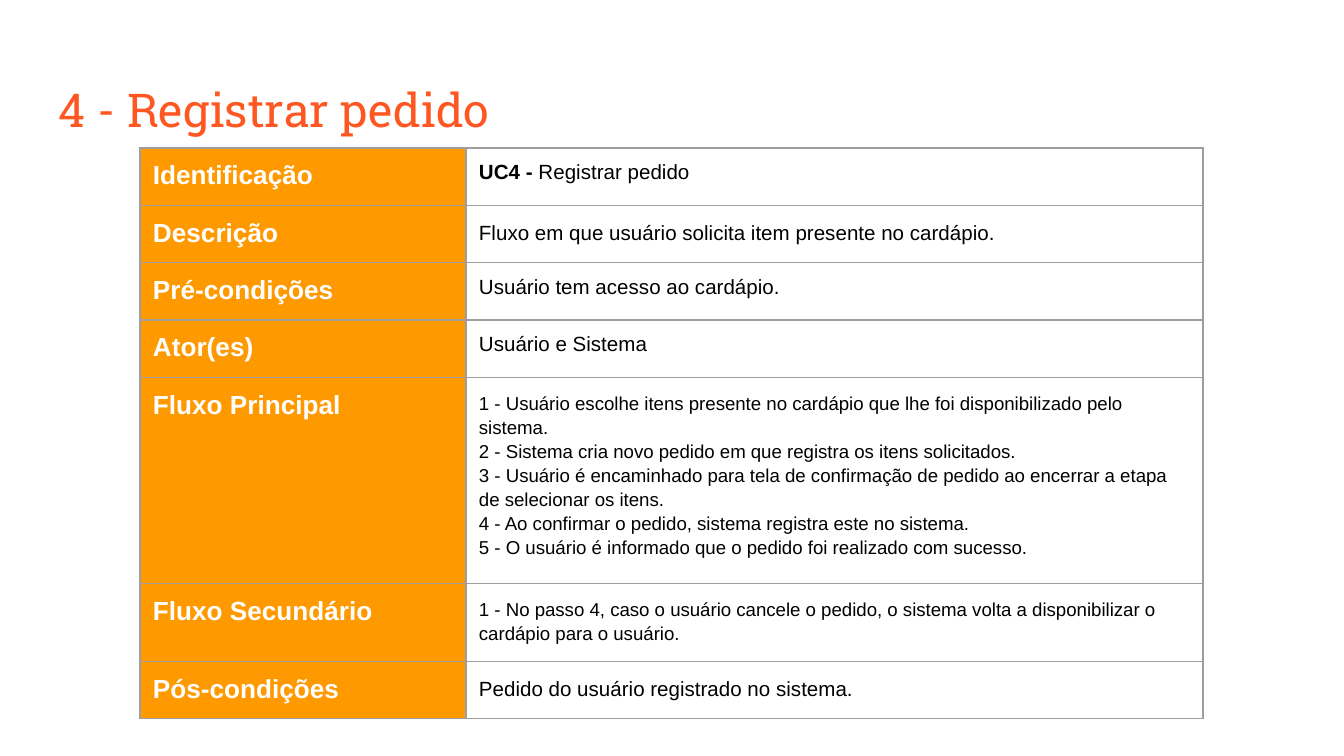
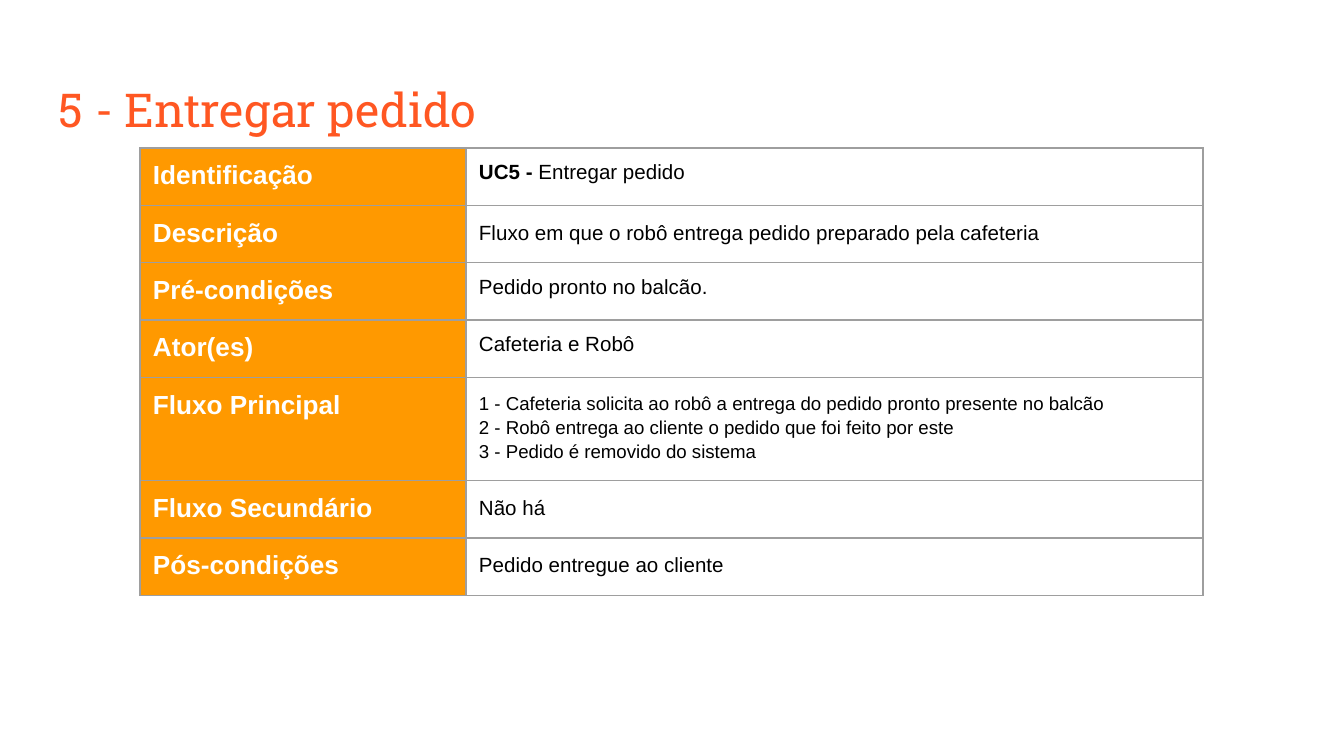
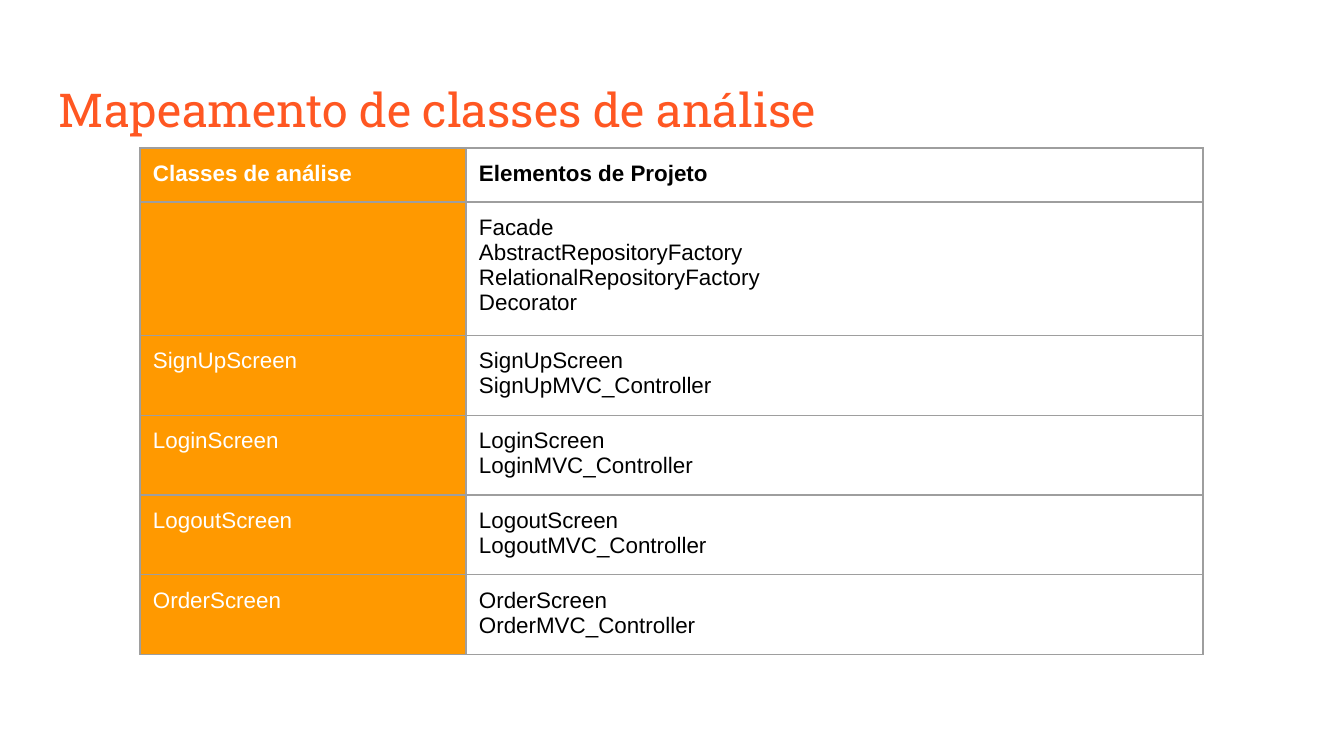
from lxml import etree
from pptx import Presentation
from pptx.dml.color import RGBColor
from pptx.enum.text import MSO_ANCHOR
from pptx.oxml.ns import qn
from pptx.util import Pt

MIDDLE = MSO_ANCHOR.MIDDLE
TOP = MSO_ANCHOR.TOP
EMU_PER_PX = 9144000 / 1344
SLIDE_SIZE = (1344, 756)
TITLE_BOX = (46, 66, 1253, 85)
TABLE_ORIGIN = (140, 148)
COLUMN_WIDTHS = (326, 737)
INSET = 13
BLANK_LAYOUT = 6

TITLE_FONT = "Roboto Slab"
BODY_FONT = "Arial"
TITLE_COLOR = "FF5722"
LABEL_FILL = "FF9900"
LABEL_COLOR = "FFFFFF"
VALUE_COLOR = "000000"
BORDER_COLOR = "9E9E9E"
BORDER_WIDTH = Pt(0.75)

FIELDS = (
    ("Identificação", 1),
    ("Descrição", 1.15),
    ("Pré-condições", 1),
    ("Ator(es)", 1),
    ("Fluxo Principal", 1.15),
    ("Fluxo Secundário", 1.15),
    ("Pós-condições", 1.15),
)

USE_CASES = (
    (4, "Registrar pedido", (
        ["Fluxo em que usuário solicita item presente no cardápio."],
        ["Usuário tem acesso ao cardápio."],
        ["Usuário e Sistema"],
        [
            "1 - Usuário escolhe itens presente no cardápio que lhe foi disponibilizado pelo sistema.",
            "2 - Sistema cria novo pedido em que registra os itens solicitados.",
            "3 - Usuário é encaminhado para tela de confirmação de pedido ao encerrar a etapa de selecionar os itens.",
            "4 - Ao confirmar o pedido, sistema registra este no sistema.",
            "5 - O usuário é informado que o pedido foi realizado com sucesso.",
        ],
        ["1 - No passo 4, caso o usuário cancele o pedido, o sistema volta a disponibilizar o cardápio para o usuário."],
        ["Pedido do usuário registrado no sistema."],
    )),
    (5, "Entregar pedido", (
        ["Fluxo em que o robô entrega pedido preparado pela cafeteria"],
        ["Pedido pronto no balcão."],
        ["Cafeteria e Robô"],
        [
            "1 - Cafeteria solicita ao robô a entrega do pedido pronto presente no balcão",
            "2 - Robô entrega ao cliente o pedido que foi feito por este",
            "3 - Pedido é removido do sistema",
        ],
        ["Não há"],
        ["Pedido entregue ao cliente"],
    )),
)

SHARED_ELEMENTS = [
    "Facade",
    "AbstractRepositoryFactory",
    "RelationalRepositoryFactory",
    "Decorator",
]
SCREENS = ("SignUp", "Login", "Logout", "Order")


def px(length):
    return round(length * EMU_PER_PX)


def color(value):
    return RGBColor.from_string(value)


def write(frame, lines, *, size, ink, font=BODY_FONT, bold=False, lead="", spacing=1):
    for index, line in enumerate(lines):
        paragraph = frame.add_paragraph() if index else frame.paragraphs[0]
        paragraph.line_spacing = spacing
        runs = [(line, bold)]
        if lead and index == 0:
            runs.insert(0, (lead, True))
        for text, weight in runs:
            run = paragraph.add_run()
            run.text = text
            run.font.name = font
            run.font.size = Pt(size)
            run.font.bold = weight
            run.font.color.rgb = color(ink)


def set_margins(target):
    target.margin_left = target.margin_right = px(INSET)
    target.margin_top = target.margin_bottom = px(INSET)


def add_title(slide, box, text):
    shape = slide.shapes.add_textbox(*map(px, box))
    frame = shape.text_frame
    frame.word_wrap = True
    frame.vertical_anchor = MIDDLE
    set_margins(frame)
    write(frame, [text], size=25, ink=TITLE_COLOR, font=TITLE_FONT)


def add_borders(cell):
    properties = cell._tc.get_or_add_tcPr()
    for index, side in enumerate(("a:lnL", "a:lnR", "a:lnT", "a:lnB")):
        line = etree.Element(qn(side), w=str(BORDER_WIDTH))
        fill = etree.SubElement(line, qn("a:solidFill"))
        etree.SubElement(fill, qn("a:srgbClr"), val=BORDER_COLOR)
        properties.insert(index, line)


def fill_cell(cell, lines, fill=None, **text_format):
    cell.vertical_anchor = TOP
    set_margins(cell)
    if fill:
        cell.fill.solid()
        cell.fill.fore_color.rgb = color(fill)
    else:
        cell.fill.background()
    add_borders(cell)
    write(cell.text_frame, lines, **text_format)


def add_label_table(slide, origin, rows, row_height):
    size = (sum(COLUMN_WIDTHS), row_height * len(rows))
    shape = slide.shapes.add_table(len(rows), 2, *map(px, origin + size))
    table = shape.table
    table.first_row = False
    table.horz_banding = False
    for column, width in zip(table.columns, COLUMN_WIDTHS):
        column.width = px(width)
    for index, (label, label_format, lines, value_format) in enumerate(rows):
        table.rows[index].height = px(row_height)
        labels = [label] if label else []
        fill_cell(table.cell(index, 0), labels, LABEL_FILL, ink=LABEL_COLOR, **label_format)
        fill_cell(table.cell(index, 1), lines, ink=VALUE_COLOR, **value_format)


def add_slide(presentation, title):
    slide = presentation.slides.add_slide(presentation.slide_layouts[BLANK_LAYOUT])
    add_title(slide, TITLE_BOX, title)
    return slide


def add_use_case_slide(presentation, number, name, values):
    slide = add_slide(presentation, f"{number} - {name}")
    rows = []
    for (label, spacing), lines in zip(FIELDS, ([name], *values)):
        value_format = {
            "size": 10 if lines[0].startswith("1 - ") else 11,
            "spacing": spacing,
            "lead": "" if rows else f"UC{number} - ",
        }
        rows.append((label, {"size": 14, "bold": True}, lines, value_format))
    add_label_table(slide, TABLE_ORIGIN, rows, 56)


def add_mapping_slide(presentation):
    slide = add_slide(presentation, "Mapeamento de classes de análise")
    heading = {"size": 12, "bold": True}
    plain = {"size": 12}
    rows = [
        ("Classes de análise", heading, ["Elementos de Projeto"], heading),
        ("", plain, SHARED_ELEMENTS, plain),
    ]
    for name in SCREENS:
        screen = f"{name}Screen"
        rows.append((screen, plain, [screen, f"{name}MVC_Controller"], plain))
    add_label_table(slide, TABLE_ORIGIN, rows, 54)


def main():
    presentation = Presentation()
    presentation.slide_width, presentation.slide_height = map(px, SLIDE_SIZE)
    for use_case in USE_CASES:
        add_use_case_slide(presentation, *use_case)
    add_mapping_slide(presentation)
    presentation.save("out.pptx")


if __name__ == "__main__":
    main()
